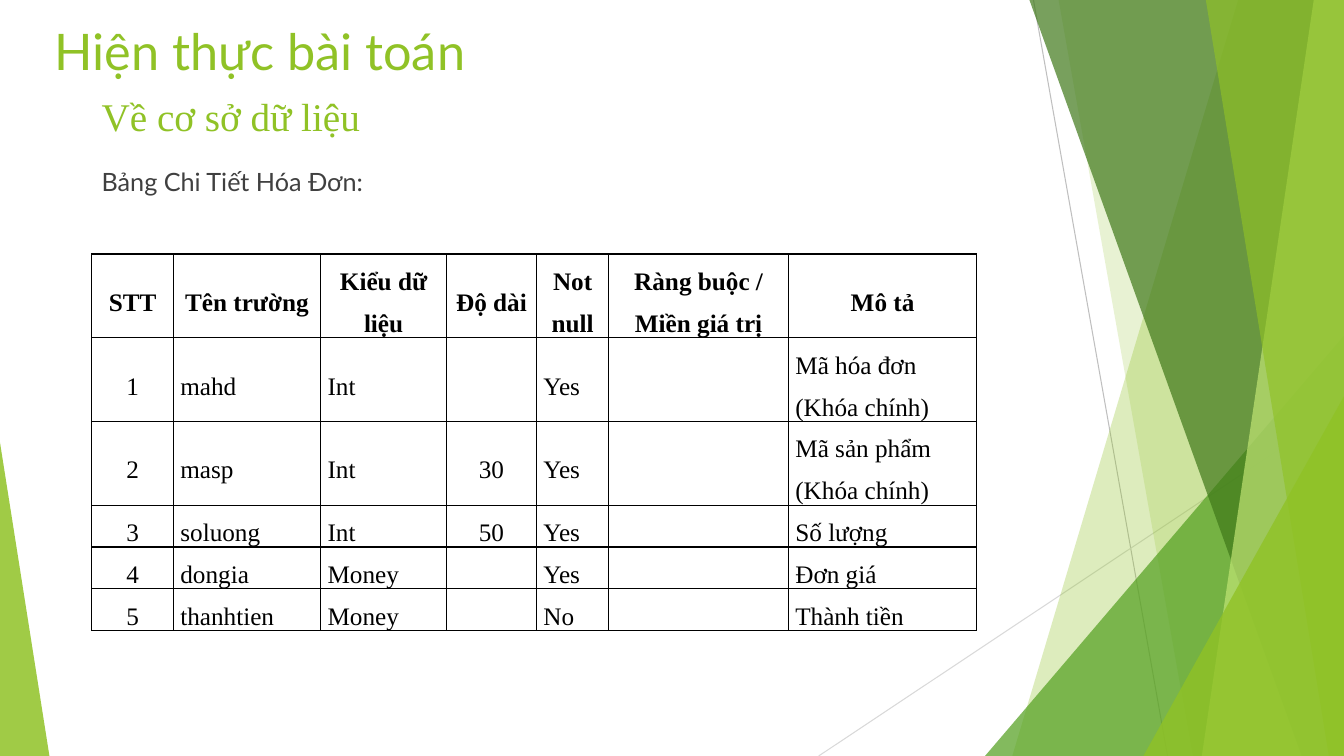
from lxml import etree
from pptx import Presentation
from pptx.dml.color import RGBColor
from pptx.enum.shapes import MSO_CONNECTOR, MSO_SHAPE
from pptx.enum.text import MSO_ANCHOR, MSO_AUTO_SIZE, PP_ALIGN
from pptx.oxml.ns import qn
from pptx.util import Inches, Pt

STRAIGHT = MSO_CONNECTOR.STRAIGHT
TRIANGLE = MSO_SHAPE.ISOSCELES_TRIANGLE
TOP, MIDDLE = MSO_ANCHOR.TOP, MSO_ANCHOR.MIDDLE
LEFT, CENTER = PP_ALIGN.LEFT, PP_ALIGN.CENTER
NO_FIT = MSO_AUTO_SIZE.NONE

LIME = RGBColor(0x90, 0xC2, 0x26)
PALE_LIME = RGBColor(0xC0, 0xE4, 0x74)
GREEN = RGBColor(0x54, 0xA0, 0x21)
DARK_GREEN = RGBColor(0x3F, 0x78, 0x19)
GRAY = RGBColor(0xBF, 0xBF, 0xBF)
LIGHT_GRAY = RGBColor(0xD9, 0xD9, 0xD9)
TEXT_GRAY = RGBColor(0x40, 0x40, 0x40)
BLACK = RGBColor(0, 0, 0)
WHITE = RGBColor(0xFF, 0xFF, 0xFF)

SANS, SERIF = "Lato", "Times New Roman"
SLIDE_WIDTH, SLIDE_HEIGHT = 13.33, 7.5

COLUMN_WIDTHS = [0.81, 1.46, 1.25, 0.89, 0.72, 1.78, 1.87]
ROW_HEIGHTS = [0.83, 0.83, 0.83, 0.41, 0.41, 0.41]
CENTERED_COLUMNS = (0, 3)
FIELDS = [
    ["STT", "Tên trường", "Kiểu dữ liệu", "Độ dài", "Not null",
     "Ràng buộc / Miền giá trị", "Mô tả"],
    ["1", "mahd", "Int", "", "Yes", "", "Mã hóa đơn (Khóa chính)"],
    ["2", "masp", "Int", "30", "Yes", "", "Mã sản phẩm (Khóa chính)"],
    ["3", "soluong", "Int", "50", "Yes", "", "Số lượng"],
    ["4", "dongia", "Money", "", "Yes", "", "Đơn giá"],
    ["5", "thanhtien", "Money", "", "No", "", "Thành tiền"],
]


def add_line(slide, start, end, color):
    line = slide.shapes.add_connector(
        STRAIGHT, *[Inches(value) for value in start + end])
    line.line.color.rgb = color
    line.line.width = Pt(0.75)
    etree.SubElement(line._element.spPr, qn("a:effectLst"))


def paint(shape, color, opacity):
    shape.shadow.inherit = False
    shape.line.fill.background()
    shape.fill.solid()
    shape.fill.fore_color.rgb = color
    rgb = shape._element.spPr.find(f"{qn('a:solidFill')}/{qn('a:srgbClr')}")
    etree.SubElement(rgb, qn("a:alpha"), val=str(opacity * 1000))


def add_band(slide, top_x, bottom_x, color, opacity):
    outline = slide.shapes.build_freeform(
        Inches(top_x), 0, scale=1.0)
    corners = [(SLIDE_WIDTH, 0), (SLIDE_WIDTH, SLIDE_HEIGHT),
               (bottom_x, SLIDE_HEIGHT)]
    outline.add_line_segments([(Inches(x), Inches(y)) for x, y in corners])
    paint(outline.convert_to_shape(), color, opacity)


def add_corner(slide, left, top, width, apex, color, opacity):
    corner = slide.shapes.add_shape(
        TRIANGLE, Inches(left), Inches(top), Inches(width),
        Inches(SLIDE_HEIGHT - top))
    corner.adjustments[0] = apex
    paint(corner, color, opacity)


def add_decoration(slide):
    add_line(slide, (10.25, 0), (11.58, SLIDE_HEIGHT), GRAY)
    add_line(slide, (SLIDE_WIDTH, 4.03), (8.12, SLIDE_HEIGHT), LIGHT_GRAY)
    add_band(slide, 12.28, 10.04, LIME, 30)
    add_band(slide, 10.5, 11.83, LIME, 20)
    add_corner(slide, 9.77, 3.33, 3.56, 1, GREEN, 72)
    add_band(slide, 10.21, 12.91, DARK_GREEN, 70)
    add_band(slide, 13.03, 11.92, PALE_LIME, 70)
    add_band(slide, 11.96, 13.18, LIME, 65)
    add_corner(slide, 11.34, 3.93, 1.99, 1, LIME, 80)
    add_corner(slide, 0, 4.39, 0.49, 0, LIME, 85)


def set_font(paragraph, name, size, color, bold=False):
    paragraph.font.name = name
    paragraph.font.size = Pt(size)
    paragraph.font.color.rgb = color
    paragraph.font.bold = bold


def write_text(frame, text, name, size, color):
    frame.word_wrap = True
    frame.auto_size = NO_FIT
    frame.vertical_anchor = TOP
    frame.text = text
    paragraph = frame.paragraphs[0]
    paragraph.alignment = LEFT
    set_font(paragraph, name, size, color)


def add_text(slide, top, height, text, name, size, color, bulleted=False):
    box = slide.shapes.add_textbox(
        Inches(0.91), Inches(top), Inches(9.4), Inches(height))
    if bulleted:
        add_bullet(box.text_frame.paragraphs[0])
    write_text(box.text_frame, text, name, size, color)


def add_bullet(paragraph):
    properties = paragraph._p.get_or_add_pPr()
    properties.set("marL", str(Inches(0.38)))
    properties.set("indent", str(-Inches(0.38)))
    bullet_color = etree.SubElement(properties, qn("a:buClr"))
    etree.SubElement(bullet_color, qn("a:srgbClr"), val=str(LIME))
    etree.SubElement(properties, qn("a:buSzPct"), val="80000")
    etree.SubElement(properties, qn("a:buChar"), char="▶")


def add_borders(cell):
    properties = cell._tc.get_or_add_tcPr()
    for side in ("lnL", "lnR", "lnT", "lnB"):
        border = etree.SubElement(properties, qn(f"a:{side}"), w=str(Pt(1)))
        fill = etree.SubElement(border, qn("a:solidFill"))
        etree.SubElement(fill, qn("a:srgbClr"), val=str(BLACK))


def fill_cell(cell, text, centered, bold):
    add_borders(cell)
    cell.fill.solid()
    cell.fill.fore_color.rgb = WHITE
    cell.margin_left = cell.margin_right = Inches(0.07)
    cell.margin_top = cell.margin_bottom = 0
    cell.vertical_anchor = MIDDLE
    cell.text = text
    paragraph = cell.text_frame.paragraphs[0]
    paragraph.alignment = CENTER if centered else LEFT
    if text:
        paragraph.line_spacing = 1.5
    set_font(paragraph, SERIF, 18, BLACK, bold)


def add_field_table(slide):
    table = slide.shapes.add_table(
        len(FIELDS), len(COLUMN_WIDTHS), Inches(0.91), Inches(2.52),
        Inches(sum(COLUMN_WIDTHS)), Inches(sum(ROW_HEIGHTS))).table
    table.first_row = False
    table.horz_banding = False
    for column, width in zip(table.columns, COLUMN_WIDTHS):
        column.width = Inches(width)
    for row_index, (height, values) in enumerate(zip(ROW_HEIGHTS, FIELDS)):
        table.rows[row_index].height = Inches(height)
        header = row_index == 0
        for column_index, text in enumerate(values):
            fill_cell(table.cell(row_index, column_index), text,
                      header or column_index in CENTERED_COLUMNS, header)


def main():
    deck = Presentation()
    deck.slide_width = Inches(SLIDE_WIDTH)
    deck.slide_height = Inches(SLIDE_HEIGHT)
    slide = deck.slides.add_slide(deck.slide_layouts[5])
    add_decoration(slide)
    title = slide.shapes.title
    title.left, title.top = Inches(0.44), Inches(0.15)
    title.width, title.height = Inches(9.4), Inches(1.44)
    write_text(title.text_frame, "Hiện thực bài toán", SANS, 36, LIME)
    add_text(slide, 1.6, 0.5, "Bảng Chi Tiết Hóa Đơn:", SANS, 18, TEXT_GRAY,
             bulleted=True)
    add_text(slide, 0.87, 0.7, "Về cơ sở dữ liệu", SERIF, 28, LIME)
    add_field_table(slide)
    deck.save("out.pptx")


if __name__ == "__main__":
    main()
